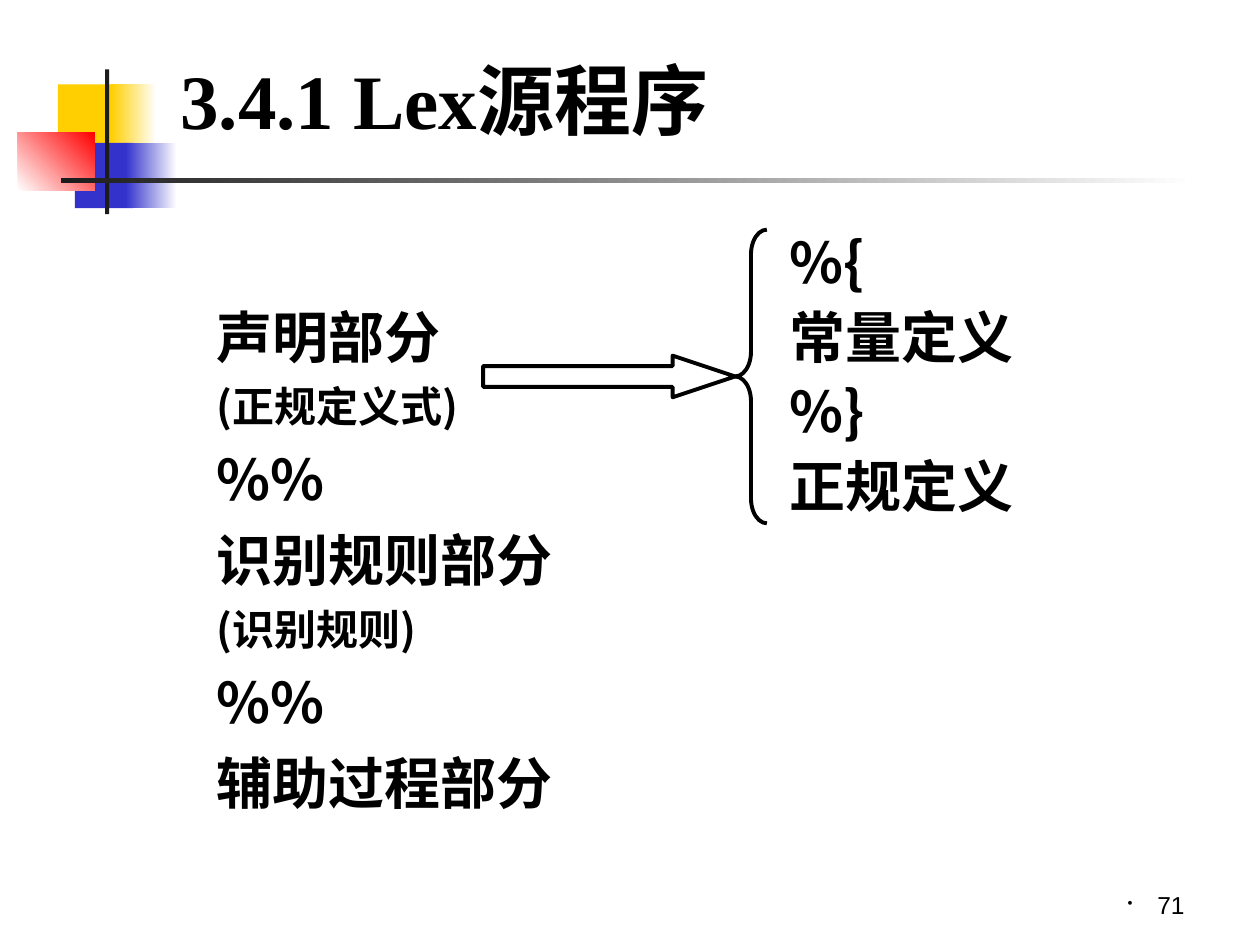
from pptx import Presentation
from pptx.dml.color import RGBColor
from pptx.enum.shapes import MSO_SHAPE
from pptx.enum.text import MSO_ANCHOR, PP_ALIGN
from pptx.oxml import parse_xml
from pptx.oxml.ns import nsdecls
from pptx.util import Cm, Pt

RECT, ARROW, BRACE = MSO_SHAPE.RECTANGLE, MSO_SHAPE.RIGHT_ARROW, MSO_SHAPE.LEFT_BRACE
TOP, MIDDLE, BOTTOM = MSO_ANCHOR.TOP, MSO_ANCHOR.MIDDLE, MSO_ANCHOR.BOTTOM
LEFT, RIGHT = PP_ALIGN.LEFT, PP_ALIGN.RIGHT

BLACK = RGBColor(0x00, 0x00, 0x00)
WHITE = RGBColor(0xFF, 0xFF, 0xFF)
YELLOW = RGBColor(0xFF, 0xCF, 0x01)
BLUE = RGBColor(0x33, 0x33, 0xCC)
RED = RGBColor(0xFF, 0x00, 0x00)
DARK = RGBColor(0x1C, 0x1C, 0x1C)
SANS, SERIF, NUMBER_FONT = "Noto Sans CJK SC", "Times New Roman", "Arial"

# Content: text and size in points
TITLE = "3.4.1 Lex源程序"
PROGRAM_PARTS = [
    ("声明部分", 32), ("(正规定义式)", 24), ("%%", 32),
    ("识别规则部分", 32), ("(识别规则)", 24), ("%%", 32),
    ("辅助过程部分", 32),
]
DECLARATIONS = [("%{", 32), ("常量定义", 32), ("%}", 32), ("正规定义", 32)]
PAGE_NUMBER = "71"

# Decoration: left, top, width, height in cm, colours, gradient angle
DECORATION = [
    ((1.17, 1.7, 1.22, 1.32), (YELLOW,), 0),
    ((2.24, 1.7, 0.91, 1.32), (YELLOW, WHITE), 0),
    ((1.51, 2.88, 1.17, 1.32), (BLUE,), 0),
    ((2.54, 2.88, 1.02, 1.32), (BLUE, WHITE), 0),
    ((0.36, 2.67, 1.55, 1.17), (WHITE, RED), 45),
    ((2.12, 1.4, 0.08, 2.92), (DARK,), 0),
    ((1.23, 3.59, 22.86, 0.1), (DARK, WHITE), 0),
]


def add_shape(slide, kind, box):
    sp = slide.shapes.add_shape(kind, *map(Cm, box))
    sp.shadow.inherit = False
    return sp


def add_block(slide, box, colors, angle):
    sp = add_shape(slide, RECT, box)
    sp.line.fill.background()
    if len(colors) == 1:
        sp.fill.solid()
        sp.fill.fore_color.rgb = colors[0]
        return
    sp.fill.gradient()
    sp.fill.gradient_angle = angle
    for i, (stop, color) in enumerate(zip(sp.fill.gradient_stops, colors)):
        stop.position = i
        stop.color.rgb = color


def add_outline(slide, kind, box, adjustments):
    sp = add_shape(slide, kind, box)
    sp.fill.background()
    sp.line.color.rgb = BLACK
    sp.line.width = Pt(2.25)
    for i, value in enumerate(adjustments):
        sp.adjustments[i] = value


def fill_text(sp, lines, font, bold=True, align=LEFT, anchor=TOP, spacing=1.0):
    tf = sp.text_frame
    tf.word_wrap = True
    tf.vertical_anchor = anchor
    tf.text = "\n".join(text for text, size in lines)
    for i, (p, (text, size)) in enumerate(zip(tf.paragraphs, lines)):
        p.alignment = align
        p.line_spacing = spacing
        # Gap of a quarter of the text size, except above the first line
        p.space_before = Pt(size / 4 if i else 0)
        r = p.runs[0]
        r.font.name, r.font.size, r.font.bold = font, Pt(size), bold
        r.font.color.rgb = BLACK
        # East Asian characters use the sans face
        r.font._element.append(
            parse_xml(f'<a:ea {nsdecls("a")} typeface="{SANS}"/>'))
    return tf


def add_text(slide, box, lines, font, **style):
    return fill_text(slide.shapes.add_textbox(*map(Cm, box)), lines, font, **style)


prs = Presentation()
prs.slide_width, prs.slide_height = Cm(25.4), Cm(19.05)
slide = prs.slides.add_slide(prs.slide_layouts[5])

# Corner blocks and rules
for box, colors, angle in DECORATION:
    add_block(slide, box, colors, angle)

# Title, brought in front of the decoration
title = slide.shapes.title
title.left, title.top, title.width, title.height = map(Cm, (3.38, 1.32, 17.12, 1.32))
fill_text(title, [(TITLE, 44)], SERIF, anchor=MIDDLE)
slide.shapes._spTree.append(title._element)

# Program structure and the expanded declarations
add_text(slide, (4.11, 5.97, 8.31, 10.95), PROGRAM_PARTS, SANS)
add_text(slide, (15.67, 4.62, 5.92, 6.35), DECLARATIONS, SANS, spacing=0.9)
add_outline(slide, ARROW, (9.74, 7.17, 5.08, 0.84), (0.5, 1.5))
add_outline(slide, BRACE, (14.82, 4.63, 0.64, 5.92), (0.78, 0.5))

# Page number with its bullet
tf = add_text(slide, (18.21, 17.35, 5.92, 1.32), [(PAGE_NUMBER, 14)], NUMBER_FONT,
              bold=False, align=RIGHT, anchor=BOTTOM)
pPr = tf.paragraphs[0]._p.get_or_add_pPr()
pPr.set("marL", str(Cm(0.6)))
pPr.set("indent", str(-Cm(0.6)))
for tag in (f'<a:buClr {nsdecls("a")}><a:srgbClr val="{BLACK}"/></a:buClr>',
            f'<a:buSzPct {nsdecls("a")} val="60000"/>',
            f'<a:buChar {nsdecls("a")} char="•"/>'):
    pPr.append(parse_xml(tag))

prs.save("out.pptx")
